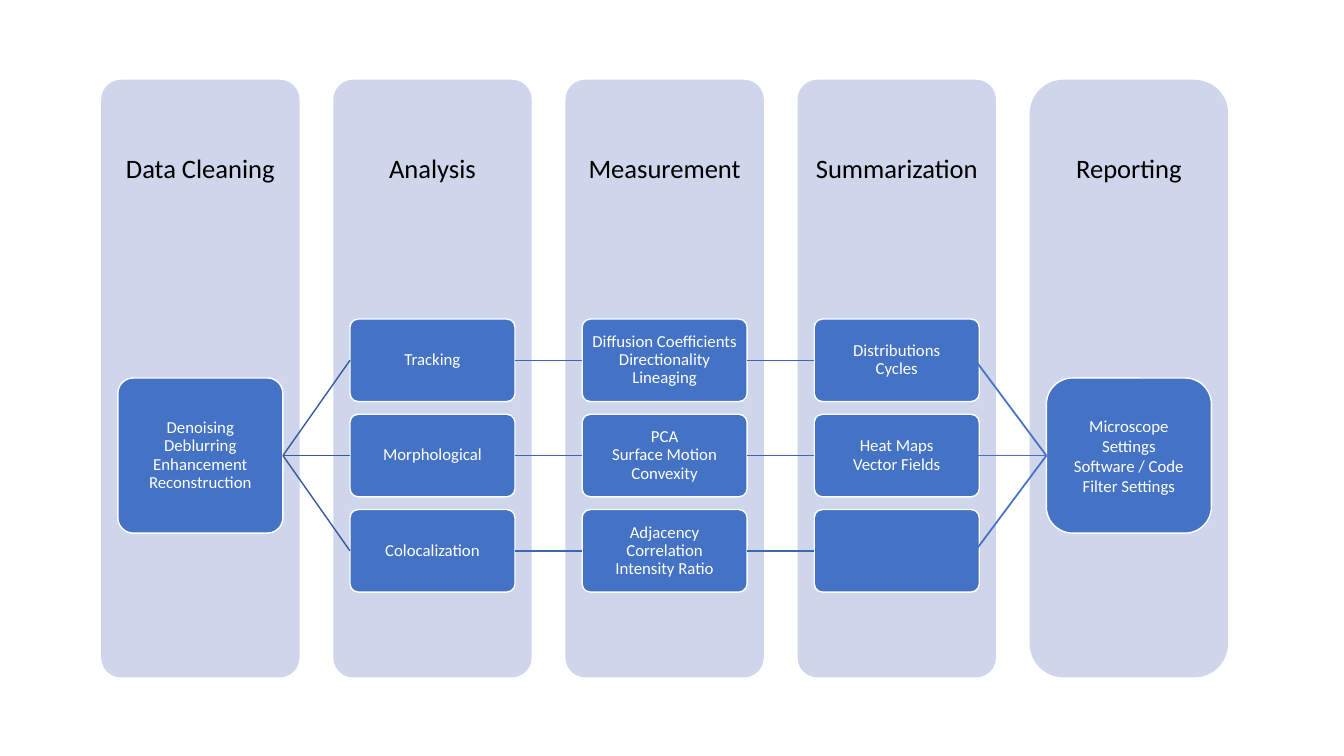
import pptx
import pptx.util
import pptx.dml.color
import pptx.enum.shapes
import pptx.enum.text
import pptx.oxml.ns
from lxml import etree
from pptx.util import Cm, Pt

PANEL = pptx.dml.color.RGBColor(0xCF, 0xD5, 0xEA)
BLUE = pptx.dml.color.RGBColor(0x44, 0x72, 0xC4)
BRANCH_BLUE = pptx.dml.color.RGBColor(0x36, 0x5B, 0x9D)
STEP_BLUE = pptx.dml.color.RGBColor(0x3E, 0x67, 0xB2)
WHITE = pptx.dml.color.RGBColor(0xFF, 0xFF, 0xFF)
BLACK = pptx.dml.color.RGBColor(0x00, 0x00, 0x00)

COLUMN_WIDTH, COLUMN_HEIGHT, COLUMN_PITCH = 5, 15.06, 5.85
TITLE_HEIGHT = 4.52
CARD_INSET, CARD_WIDTH = 0.42, 4.16
CARD_HEIGHT, TALL_CARD_HEIGHT, ROW_PITCH = 2.08, 3.91, 2.4
CARDS_MIDDLE = 9.47
OVERLAP = 0.1

STAGES = [
    ("Data Cleaning", ["Denoising\vDeblurring\vEnhancement\vReconstruction"]),
    ("Analysis", ["Tracking", "Morphological", "Colocalization"]),
    ("Measurement", ["Diffusion Coefficients\vDirectionality\vLineaging",
                     "PCA\vSurface Motion\vConvexity",
                     "Adjacency\vCorrelation\vIntensity Ratio"]),
    ("Summarization", ["Distributions\vCycles", "Heat Maps\vVector Fields", ""]),
    ("Reporting", ["Microscope Settings\nSoftware / Code\nFilter Settings"]),
]


def write(frame, text, size, color, inset, spacing):
    frame.text = text
    frame.word_wrap = True
    frame.vertical_anchor = pptx.enum.text.MSO_ANCHOR.MIDDLE
    frame.margin_left = frame.margin_right = Cm(inset)
    frame.margin_top = frame.margin_bottom = Cm(inset)
    for paragraph in frame.paragraphs:
        paragraph.alignment = pptx.enum.text.PP_ALIGN.CENTER
        paragraph.line_spacing = spacing
        for run in paragraph.runs:
            run.font.name = "Calibri"
            run.font.size = Pt(size)
            run.font.color.rgb = color


def add_rounded(slide, left, top, width, height, fill, rounding):
    rounded = slide.shapes.add_shape(
        pptx.enum.shapes.MSO_SHAPE.ROUNDED_RECTANGLE,
        Cm(left), Cm(top), Cm(width), Cm(height))
    rounded.adjustments[0] = rounding
    rounded.shadow.inherit = False
    rounded.fill.solid()
    rounded.fill.fore_color.rgb = fill
    rounded.line.fill.background()
    return rounded


def add_stage(slide, left, top, title, contents, is_report):
    rounding = 0.17 if is_report else 0.1
    add_rounded(slide, left, top, COLUMN_WIDTH, COLUMN_HEIGHT, PANEL, rounding)
    heading = slide.shapes.add_textbox(
        Cm(left), Cm(top), Cm(COLUMN_WIDTH), Cm(TITLE_HEIGHT))
    write(heading.text_frame, title, 19, BLACK, 0.25, 0.9)

    height = TALL_CARD_HEIGHT if len(contents) == 1 else CARD_HEIGHT
    card_left = left + CARD_INSET
    middles = []
    for row, content in enumerate(contents):
        middle = top + CARDS_MIDDLE + (row - (len(contents) - 1) / 2) * ROW_PITCH
        card = add_rounded(slide, card_left, middle - height / 2,
                           CARD_WIDTH, height, BLUE, rounding)
        card.line.color.rgb = WHITE
        card.line.width = Pt(1)
        if content:
            write(card.text_frame, content, 12, WHITE,
                  0.25 if is_report else 0.03, 1 if is_report else 0.9)
        middles.append(middle)
    return card_left, middles


def add_link(slide, start, end, color, width):
    link = slide.shapes.add_connector(
        pptx.enum.shapes.MSO_CONNECTOR.STRAIGHT,
        Cm(start[0]), Cm(start[1]), Cm(end[0]), Cm(end[1]))
    link.line.color.rgb = color
    link.line.width = Pt(width)
    etree.SubElement(link._element.spPr, pptx.oxml.ns.qn("a:effectLst"))


def add_links(slide, source, target):
    source_left, source_middles = source
    target_left, target_middles = target
    right = source_left + CARD_WIDTH
    rows = max(len(source_middles), len(target_middles))
    color, width = STEP_BLUE, 1
    if len(source_middles) == 1:
        color = BRANCH_BLUE
    elif len(target_middles) == 1:
        color, width = BLUE, 1.25
        right -= OVERLAP
    for row in range(rows):
        add_link(slide,
                 (right, source_middles[row % len(source_middles)]),
                 (target_left, target_middles[row % len(target_middles)]),
                 color, width)


def add_pipeline(slide, left, top):
    placed = [
        add_stage(slide, left + column * COLUMN_PITCH, top, title, contents,
                  column == len(STAGES) - 1)
        for column, (title, contents) in enumerate(STAGES)]
    for source, target in zip(placed, placed[1:]):
        add_links(slide, source, target)


deck = pptx.Presentation()
deck.slide_width, deck.slide_height = Cm(33.87), Cm(19.05)
pipeline_slide = deck.slides.add_slide(deck.slide_layouts[6])
add_pipeline(pipeline_slide, 2.55, 2.01)
deck.save("out.pptx")
